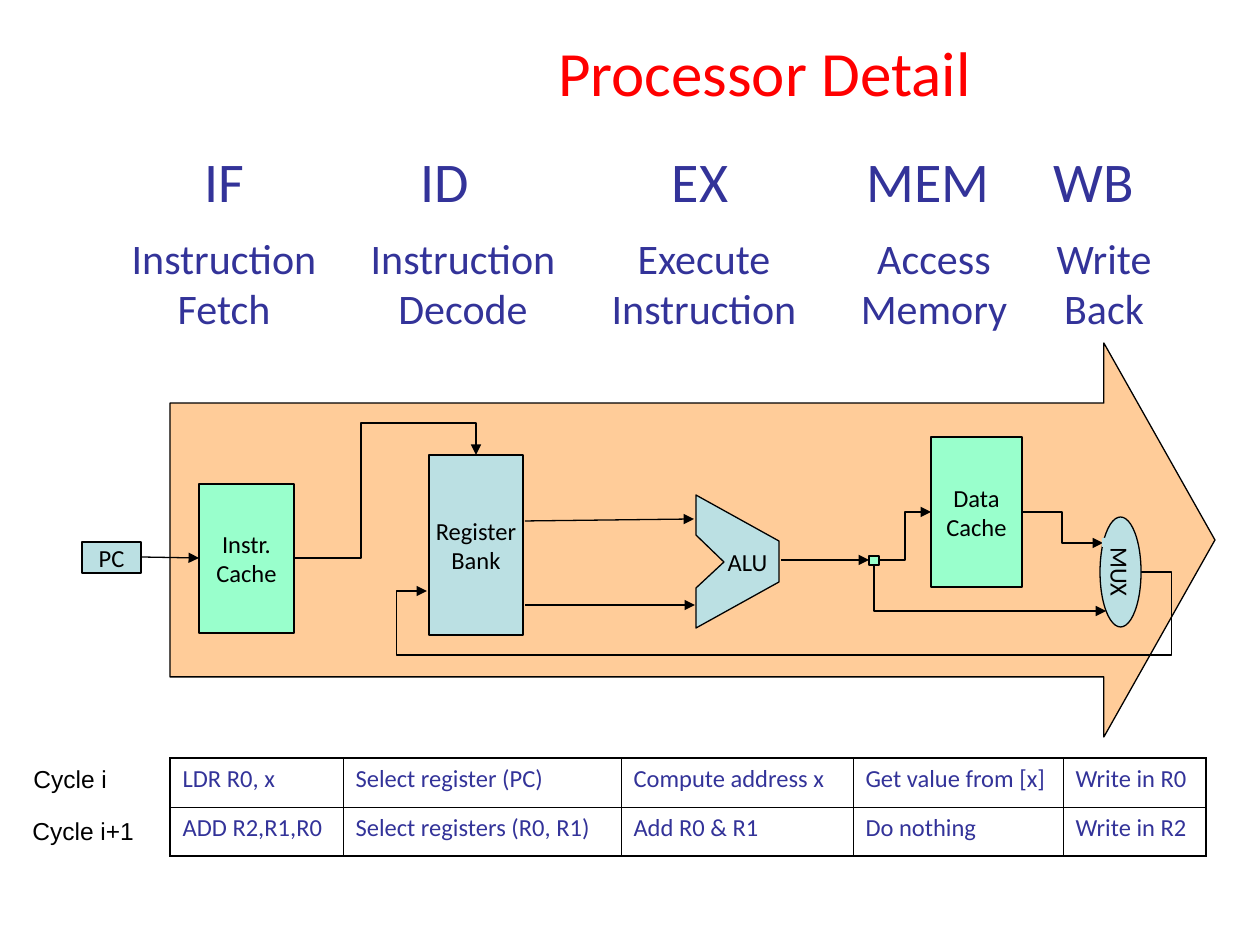
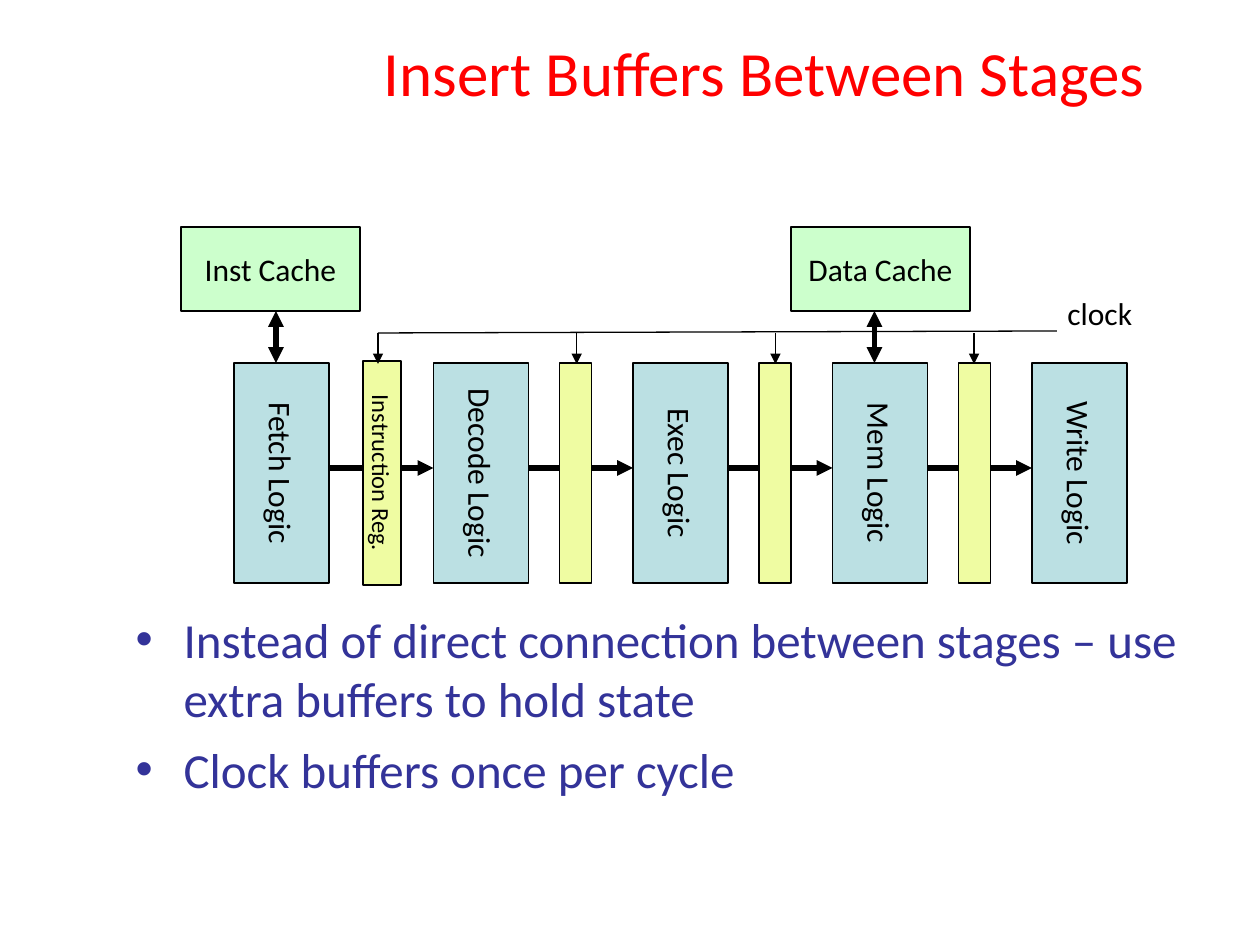
import dataclasses

import lxml.etree
import pptx
import pptx.dml.color
import pptx.enum.shapes
import pptx.enum.text
import pptx.oxml
import pptx.oxml.ns
import pptx.util

EMU_PER_PX = 914400 / 126
SHAPE = pptx.enum.shapes.MSO_SHAPE
ALIGN = pptx.enum.text.PP_ALIGN
ANCHOR = pptx.enum.text.MSO_ANCHOR


@dataclasses.dataclass(frozen=True)
class Theme:
    font: str = "Calibri"
    cycle_font: str = "Arial"
    title: str = "FF0000"
    body: str = "333399"
    ink: str = "000000"
    pipeline: str = "FFCC99"
    logic: str = "BBE0E3"
    cache: str = "99FFCC"
    pale_cache: str = "CCFFCC"
    buffer: str = "EFFCA2"
    title_size: int = 36
    stage_size: int = 32
    bullet_size: int = 28
    meaning_size: int = 24
    logic_size: int = 18
    label_size: int = 14
    thin: float = 0.75
    thick: float = 3
    inner_border: float = 0.45
    outer_border: float = 1.08


THEME = Theme()
TITLE_BOX = (333, 17, 863, 108)

STAGES = [
    ("IF", 224, ["Instruction", "Fetch"], 224),
    ("ID", 445, ["Instruction", "Decode"], 463),
    ("EX", 700, ["Execute", "Instruction"], 704),
    ("MEM", 928, ["Access", "Memory"], 934),
    ("WB", 1094, ["Write", "Back"], 1104),
]
UNITS = [
    (["Register", "Bank"], (429, 455, 94, 180), THEME.logic),
    (["Data", "Cache"], (931, 437, 91, 150), THEME.cache),
    (["PC"], (82, 542, 59, 31), THEME.logic),
    (["Instr.", "Cache"], (199, 484, 95, 149), THEME.cache),
    ([], (869, 556, 10, 9), THEME.cache),
]
ALU_OUTLINE = [(696, 495), (696, 535), (724, 562), (696, 588),
               (696, 628), (779, 582), (779, 541)]
WIRES = [
    ((525, 605), (695, 605), []),
    ((525, 521), (694, 519), []),
    ((141, 557), (199, 558), []),
    ((781, 560), (869, 560), []),
    ((294, 558), (476, 455), [361, 423]),
    ((879, 560), (931, 512), [905]),
    ((1022, 512), (1103, 543), [1062]),
    ((874, 565), (1106, 611), [874]),
    ((1141, 572), (427, 591), [1172, 655, 396]),
]
CYCLES = [
    ["LDR R0, x", "Select register (PC)", "Compute address x",
     "Get value from [x]", "Write in R0"],
    ["ADD R2,R1,R0", "Select registers (R0, R1)", "Add R0 & R1",
     "Do nothing", "Write in R2"],
]
CYCLE_LABELS = [("Cycle i", 21, 758), ("Cycle i+1", 20, 810)]
COLUMN_WIDTHS = [173, 278, 232, 210, 143]
ROW_HEIGHT = 49

LOGIC = ["Fetch Logic", "Decode Logic", "Exec Logic", "Mem Logic", "Write Logic"]
CACHES = [("Inst Cache", 181, 0), ("Data Cache", 791, 3)]
BULLETS = [
    "Instead of direct connection between stages – use extra buffers to hold state",
    "Clock buffers once per cycle",
]


def px(value):
    return pptx.util.Emu(round(value * EMU_PER_PX))


def color(value):
    return pptx.dml.color.RGBColor.from_string(value)


def write_text(frame, lines, size=THEME.label_size, ink=THEME.ink, font=THEME.font,
               align=ALIGN.CENTER, anchor=ANCHOR.MIDDLE, wrap=False,
               vertical=False, bullet_indent=0, gap=0):
    frame.word_wrap = wrap
    frame.vertical_anchor = anchor
    if vertical:
        frame._txBody.bodyPr.set("vert", "vert")
    for index, line in enumerate(lines):
        paragraph = frame.add_paragraph() if index else frame.paragraphs[0]
        paragraph.text = line
        paragraph.alignment = align
        paragraph.space_before = pptx.util.Pt(gap if index else 0)
        if bullet_indent:
            properties = paragraph._p.get_or_add_pPr()
            properties.set("marL", str(px(bullet_indent)))
            properties.set("indent", str(-px(bullet_indent)))
            bullet = lxml.etree.SubElement(properties, pptx.oxml.ns.qn("a:buChar"))
            bullet.set("char", "•")
        paragraph.font.size = pptx.util.Pt(size)
        paragraph.font.name = font
        paragraph.font.color.rgb = color(ink)


def place(shape, box):
    shape.left, shape.top, shape.width, shape.height = map(px, box)


def paint(shape, fill, outlined=True):
    shape.shadow.inherit = False
    shape.fill.solid()
    shape.fill.fore_color.rgb = color(fill)
    if outlined:
        shape.line.color.rgb = color(THEME.ink)
        shape.line.width = pptx.util.Pt(THEME.thin)
    else:
        shape.line.fill.background()


def add_block(slide, box, fill, lines=(), kind=SHAPE.RECTANGLE, outlined=True, **text_format):
    shape = slide.shapes.add_shape(kind, *map(px, box))
    paint(shape, fill, outlined)
    if lines:
        write_text(shape.text_frame, lines, **text_format)
    return shape


def add_label(slide, box, lines, **text_format):
    write_text(slide.shapes.add_textbox(*map(px, box)).text_frame, lines, **text_format)


def add_wire(slide, start, end, bends=(), width=THEME.thin, ends=("tailEnd",)):
    kind = pptx.enum.shapes.MSO_CONNECTOR.ELBOW if bends else pptx.enum.shapes.MSO_CONNECTOR.STRAIGHT
    connector = slide.shapes.add_connector(kind, *map(px, start + end))
    connector.line.color.rgb = color(THEME.ink)
    connector.line.width = pptx.util.Pt(width)
    properties = connector._element.spPr
    if bends:
        geometry = properties.find(pptx.oxml.ns.qn("a:prstGeom"))
        geometry.set("prst", f"bentConnector{len(bends) + 2}")
        guides = geometry.get_or_add_avLst()
        for index, bend in enumerate(bends):
            axis = index % 2
            share = (bend - start[axis]) / (end[axis] - start[axis])
            guide = lxml.etree.SubElement(guides, pptx.oxml.ns.qn("a:gd"))
            guide.set("name", f"adj{index + 1}")
            guide.set("fmla", f"val {round(share * 100000)}")
    line = properties.find(pptx.oxml.ns.qn("a:ln"))
    for end_name in ends:
        lxml.etree.SubElement(line, pptx.oxml.ns.qn(f"a:{end_name}")).set("type", "triangle")
    lxml.etree.SubElement(properties, pptx.oxml.ns.qn("a:effectLst"))


def add_titled_slide(presentation, layout_index, title):
    slide = presentation.slides.add_slide(presentation.slide_layouts[layout_index])
    place(slide.shapes.title, TITLE_BOX)
    write_text(slide.shapes.title.text_frame, [title], size=THEME.title_size,
               ink=THEME.title, wrap=True)
    return slide


def set_borders(cell, outer_sides):
    properties = cell._tc.get_or_add_tcPr()
    for index, side in enumerate("LRTB"):
        width = THEME.outer_border if side in outer_sides else THEME.inner_border
        border = pptx.oxml.parse_xml(
            f'<a:ln{side} {pptx.oxml.ns.nsdecls("a")} w="{pptx.util.Pt(width)}">'
            f'<a:solidFill><a:srgbClr val="{THEME.ink}"/></a:solidFill></a:ln{side}>')
        properties.insert(index, border)


def add_cycle_table(slide):
    row_count, column_count = len(CYCLES), len(COLUMN_WIDTHS)
    table = slide.shapes.add_table(
        row_count, column_count,
        *map(px, (170, 758, sum(COLUMN_WIDTHS), row_count * ROW_HEIGHT))).table
    table.first_row = table.horz_banding = False
    for column, width in zip(table.columns, COLUMN_WIDTHS):
        column.width = px(width)
    for row_index, texts in enumerate(CYCLES):
        table.rows[row_index].height = px(ROW_HEIGHT)
        for column_index, text in enumerate(texts):
            cell = table.cell(row_index, column_index)
            cell.fill.background()
            write_text(cell.text_frame, [text], ink=THEME.body, align=ALIGN.LEFT, wrap=True)
            cell.vertical_anchor = ANCHOR.TOP
            edges = {"T": row_index == 0, "B": row_index == row_count - 1,
                     "L": column_index == 0, "R": column_index == column_count - 1}
            set_borders(cell, [side for side, outer in edges.items() if outer])


def build_processor_slide(presentation):
    slide = add_titled_slide(presentation, 5, "Processor Detail")
    pipeline = add_block(slide, (170, 343, 1045, 394), THEME.pipeline, kind=SHAPE.RIGHT_ARROW)
    pipeline.adjustments[0], pipeline.adjustments[1] = 0.695, 0.282
    for lines, box, fill in UNITS:
        add_block(slide, box, fill, lines)
    for wire in WIRES:
        add_wire(slide, *wire)
    builder = slide.shapes.build_freeform(*ALU_OUTLINE[0], scale=EMU_PER_PX)
    builder.add_line_segments(ALU_OUTLINE[1:], close=True)
    paint(builder.convert_to_shape(), THEME.logic)
    add_label(slide, (705, 540, 85, 43), ["ALU"])
    for stage, stage_center, meaning, meaning_center in STAGES:
        add_label(slide, (stage_center - 80, 140, 160, 81), [stage],
                  size=THEME.stage_size, ink=THEME.body)
        add_label(slide, (meaning_center - 115, 226, 230, 113), meaning,
                  size=THEME.meaning_size, ink=THEME.body)
    add_block(slide, (1100, 517, 41, 110), THEME.logic, ["MUX"], kind=SHAPE.OVAL, vertical=True)
    add_block(slide, (1102, 538, 10, 9), THEME.logic, outlined=False)
    add_cycle_table(slide)
    for text, left, top in CYCLE_LABELS:
        add_label(slide, (left, top, 140, 43), [text], font=THEME.cycle_font,
                  align=ALIGN.LEFT, anchor=ANCHOR.TOP)


def build_buffer_slide(presentation):
    slide = add_titled_slide(presentation, 1, "Insert Buffers Between Stages")
    body = slide.placeholders[1]
    place(body, (123, 603, 1074, 277))
    write_text(body.text_frame, BULLETS, size=THEME.bullet_size, ink=THEME.body,
               align=ALIGN.LEFT, anchor=ANCHOR.TOP, wrap=True, bullet_indent=48, gap=7)

    top, width, height, flow_y = 363, 95, 220, 468
    lefts = [234 + 199.5 * index for index in range(len(LOGIC))]
    for left, text in zip(lefts, LOGIC):
        add_block(slide, (left, top, width, height), THEME.logic, [text],
                  size=THEME.logic_size, vertical=True)
    for left, next_left in zip(lefts, lefts[1:]):
        add_wire(slide, (left + width, flow_y), (next_left, flow_y), width=THEME.thick)
    for text, left, stage in CACHES:
        add_block(slide, (left, 227, 179, 84), THEME.pale_cache, [text], size=THEME.logic_size)
        link_x = lefts[stage] + 42
        add_wire(slide, (link_x, 311), (link_x, top), width=THEME.thick,
                 ends=("headEnd", "tailEnd"))
    for left in lefts[1:-1]:
        add_block(slide, (left + 126, top, 32, height), THEME.buffer)
    add_block(slide, (363, 361, 38, 224), THEME.buffer, ["Instruction Reg."], vertical=True)
    for index in range(len(LOGIC) - 1):
        drop_x = 378 + 198.7 * index
        add_wire(slide, (drop_x, 333), (drop_x, 364))
    add_wire(slide, (378, 333), (1057, 331), ends=())
    add_label(slide, (1055, 288, 130, 50), ["clock"], size=THEME.logic_size,
              align=ALIGN.LEFT, anchor=ANCHOR.TOP, wrap=True)


def main():
    presentation = pptx.Presentation()
    presentation.slide_width, presentation.slide_height = px(1260), px(945)
    build_processor_slide(presentation)
    build_buffer_slide(presentation)
    presentation.save("out.pptx")


if __name__ == "__main__":
    main()
